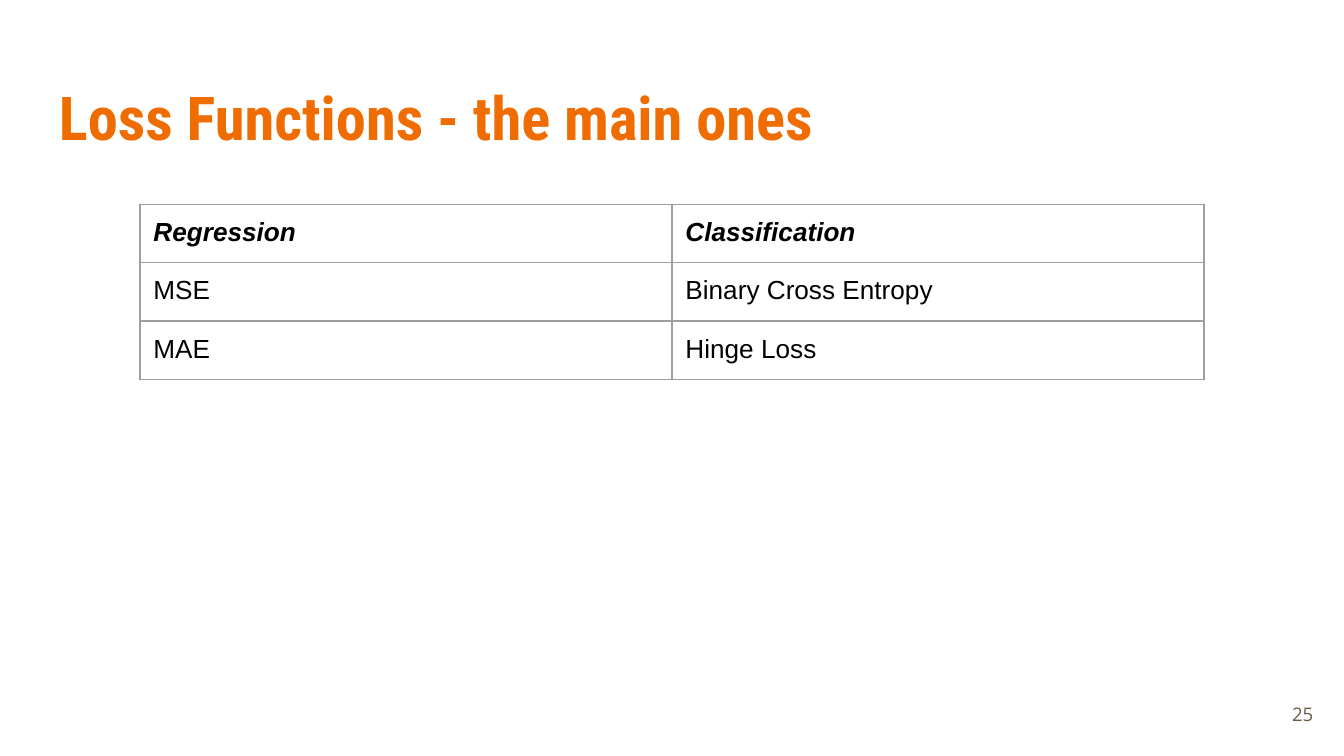
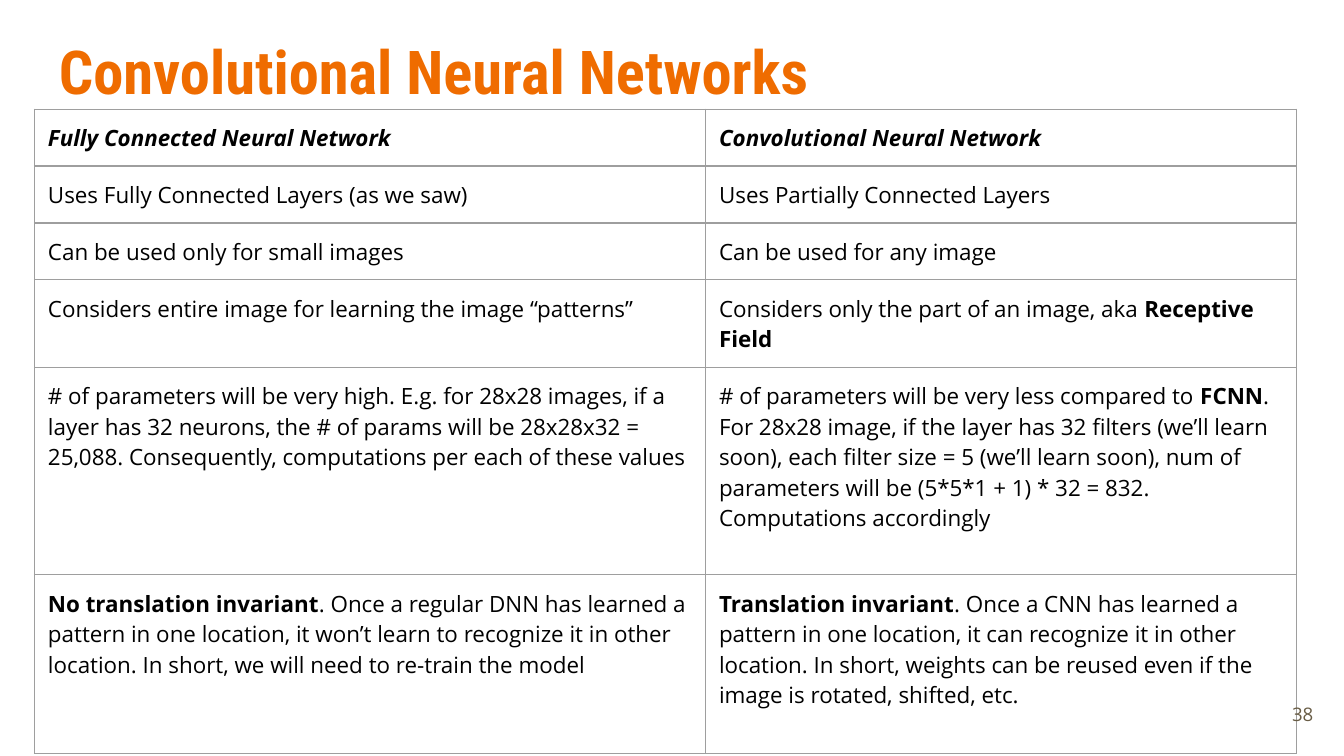
from lxml import etree
from pptx import Presentation
from pptx import util as u
from pptx.dml import color
from pptx.enum import text
from pptx.oxml import ns

ORANGE, BROWN, BLACK, GREY = "EF6C00", "695D46", "000000", "9E9E9E"
TITLE_FONT, BODY_FONT = "Roboto Condensed", "Open Sans"
INSET = 7.2

LOSSES = [
    ("Regression", "Classification"),
    ("MSE", "Binary Cross Entropy"),
    ("MAE", "Hinge Loss"),
]

# A cell is a string, or a list of (words, bold) pairs.
NETWORKS = [
    ("Fully Connected Neural Network", "Convolutional Neural Network"),
    ("Uses Fully Connected Layers (as we saw)", "Uses Partially Connected Layers"),
    ("Can be used only for small images", "Can be used for any image"),
    ("Considers entire image for learning the image “patterns”",
     [("Considers only the part of an image, aka ", False), ("Receptive Field", True)]),
    ("# of parameters will be very high. E.g. for 28x28 images, if a layer has 32 neurons, "
     "the # of params will be 28x28x32 = 25,088. Consequently, computations per each of "
     "these values",
     [("# of parameters will be very less compared to ", False), ("FCNN", True),
      (". For 28x28 image, if the layer has 32 filters (we’ll learn soon), each filter "
       "size = 5 (we’ll learn soon), num of parameters will be (5*5*1 + 1) * 32 = 832. "
       "Computations accordingly", False)]),
    ([("No translation invariant", True),
      (". Once a regular DNN has learned a pattern in one location, it won’t learn to "
       "recognize it in other location. In short, we will need to re-train the model", False)],
     [("Translation invariant", True),
      (". Once a CNN has learned a pattern in one location, it can recognize it in other "
       "location. In short, weights can be reused even if the image is rotated, shifted, "
       "etc.", False)]),
]


def rgb(value):
    return color.RGBColor.from_string(value)


def add_span(para, words, font, size, ink, bold=False, italic=False):
    span = para.add_run()
    span.text = words
    span.font.name, span.font.size = font, u.Pt(size)
    span.font.bold, span.font.italic = bold, italic
    span.font.color.rgb = rgb(ink)


def add_box(page, left, top, width, height, anchor):
    """Add an empty text box and return its first paragraph."""
    frame = page.shapes.add_textbox(*map(u.Pt, (left, top, width, height))).text_frame
    frame.word_wrap = True
    frame.vertical_anchor = anchor
    frame.margin_left = frame.margin_right = u.Pt(INSET)
    frame.margin_top = frame.margin_bottom = u.Pt(INSET)
    return frame.paragraphs[0]


def add_page(deck, title, title_top, number):
    page = deck.slides.add_slide(deck.slide_layouts[6])
    para = add_box(page, 24.5, title_top, 671, 55.5, text.MSO_ANCHOR.TOP)
    add_span(para, title, TITLE_FONT, 32.4, ORANGE, bold=True)
    return page, number


def add_page_number(page, number):
    para = add_box(page, 667.5, 367.2, 43.2, 31, text.MSO_ANCHOR.MIDDLE)
    para.alignment = text.PP_ALIGN.RIGHT
    add_span(para, str(number), BODY_FONT, 10, BROWN)


def style_cell(cell):
    """Give a cell even margins, no fill and thin grey borders."""
    cell.margin_left = cell.margin_right = u.Pt(INSET)
    cell.margin_top = cell.margin_bottom = u.Pt(INSET)
    props = cell._tc.get_or_add_tcPr()
    for side in ("a:lnL", "a:lnR", "a:lnT", "a:lnB"):
        line = etree.SubElement(props, ns.qn(side), w=str(u.Pt(0.75)))
        fill = etree.SubElement(line, ns.qn("a:solidFill"))
        etree.SubElement(fill, ns.qn("a:srgbClr"), val=GREY)
    cell.fill.background()


def add_grid(page, left, top, widths, heights, rows, font, size):
    """Add a table whose first row is set in bold italics."""
    frame = page.shapes.add_table(
        len(rows), len(widths),
        *map(u.Pt, (left, top, sum(widths), sum(heights))))
    table = frame.table
    table.first_row = table.horz_banding = False
    for column, width in zip(table.columns, widths):
        column.width = u.Pt(width)
    for r, (height, entries) in enumerate(zip(heights, rows)):
        table.rows[r].height = u.Pt(height)
        for c, entry in enumerate(entries):
            cell = table.cell(r, c)
            style_cell(cell)
            header = r == 0
            spans = [(entry, header)] if isinstance(entry, str) else entry
            for words, bold in spans:
                add_span(cell.text_frame.paragraphs[0], words, font, size, BLACK,
                         bold=bold, italic=header)


def build_losses(deck):
    page, number = add_page(deck, "Loss Functions - the main ones", 35.5, 25)
    add_grid(page, 75, 109.5, [285] * 2, [30] * 3, LOSSES, "Arial", 14)
    add_page_number(page, number)


def build_networks(deck):
    page, number = add_page(deck, "Convolutional Neural Networks", 11, 38)
    add_grid(page, 18.5, 58.5, [359.5, 316.5], [30.5] * 3 + [47, 111, 96],
             NETWORKS, BODY_FONT, 12)
    add_page_number(page, number)


def main():
    deck = Presentation()
    deck.slide_width, deck.slide_height = u.Pt(720), u.Pt(405)
    build_losses(deck)
    build_networks(deck)
    deck.save("out.pptx")


if __name__ == "__main__":
    main()
